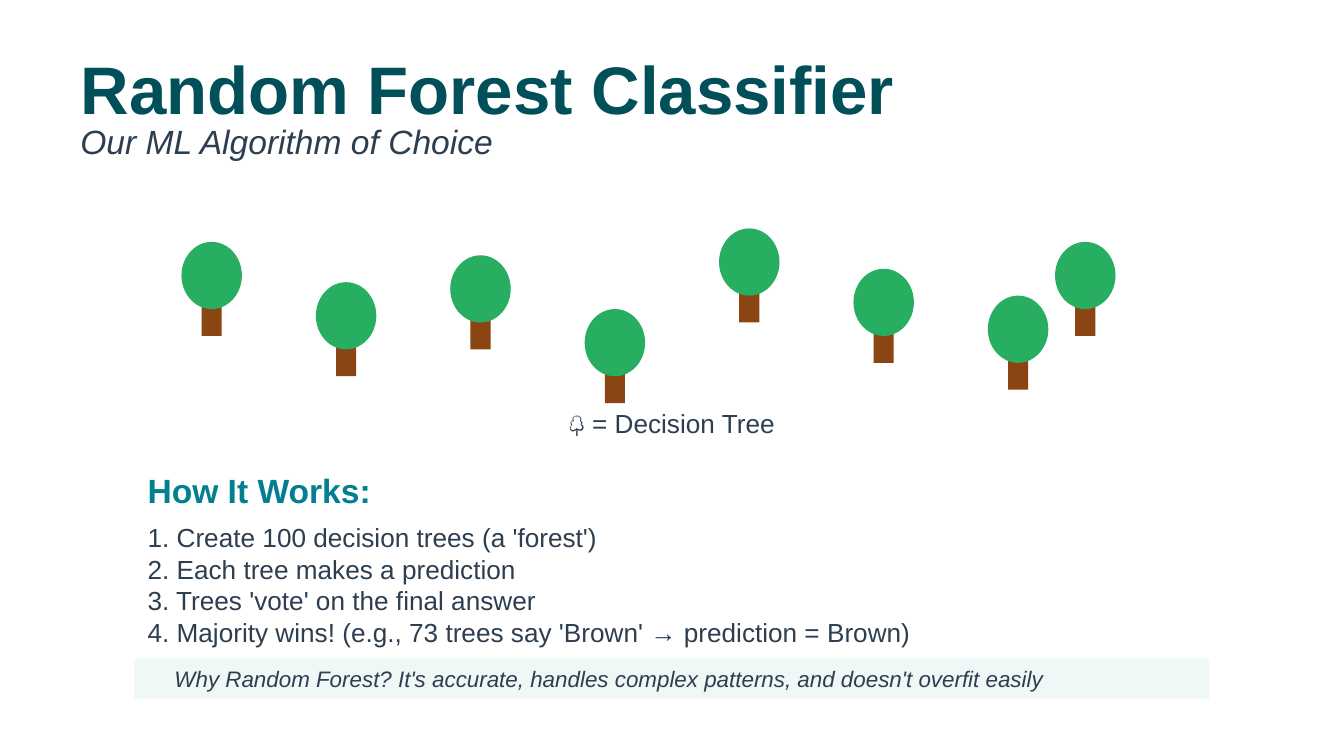
"""Build a slide that explains the random forest classifier."""
from lxml import etree
from pptx import Presentation
from pptx.dml.color import RGBColor
from pptx.enum import shapes, text
from pptx.util import Pt

DEEP_TEAL = RGBColor(0x01, 0x4F, 0x59)
TEAL = RGBColor(0x02, 0x80, 0x90)
SLATE = RGBColor(0x2C, 0x3E, 0x50)
BARK = RGBColor(0x8B, 0x45, 0x13)
LEAF = RGBColor(0x27, 0xAE, 0x60)
MINT = RGBColor(0xF0, 0xF8, 0xF7)

TREES = [(108, 129.6), (180, 151.2), (252, 136.8), (324, 165.6),
         (396, 122.4), (468, 144), (540, 158.4), (576, 129.6)]
STEPS = [
    "1. Create 100 decision trees (a 'forest')",
    "2. Each tree makes a prediction",
    "3. Trees 'vote' on the final answer",
    "4. Majority wins! (e.g., 73 trees say 'Brown' → prediction = Brown)",
]


def write(frame, *lines, size=14, color=SLATE, bold=False, italic=False,
          align=text.PP_ALIGN.LEFT, font="Arial"):
    frame.word_wrap = True
    frame.auto_size = text.MSO_AUTO_SIZE.NONE
    frame.vertical_anchor = text.MSO_ANCHOR.MIDDLE
    for index, line in enumerate(lines):
        paragraph = frame.add_paragraph() if index else frame.paragraphs[0]
        paragraph.alignment = align
        run = paragraph.add_run()
        run.text = line
        run.font.name = font
        run.font.size = Pt(size)
        run.font.bold = bold
        run.font.italic = italic
        run.font.color.rgb = color


class ForestSlide:
    def __init__(self, deck):
        self.slide = deck.slides.add_slide(deck.slide_layouts[5])

    def title(self, words, left, top, width, height, **style):
        heading = self.slide.shapes.title
        heading.left, heading.top = Pt(left), Pt(top)
        heading.width, heading.height = Pt(width), Pt(height)
        write(heading.text_frame, words, **style)

    def label(self, lines, left, top, width, height, **style):
        box = self.slide.shapes.add_textbox(Pt(left), Pt(top), Pt(width), Pt(height))
        write(box.text_frame, *lines, **style)

    def block(self, kind, left, top, width, height, color):
        part = self.slide.shapes.add_shape(kind, Pt(left), Pt(top), Pt(width), Pt(height))
        part.shadow.inherit = False
        part.fill.solid()
        part.fill.fore_color.rgb = color
        part.line.fill.background()

    def tree(self, trunk_left, crown_top):
        self.block(shapes.MSO_SHAPE.RECTANGLE, trunk_left, crown_top + 28.8, 10.8, 21.6, BARK)
        self.block(shapes.MSO_SHAPE.OVAL, trunk_left - 10.8, crown_top, 32.4, 36, LEAF)


def main():
    deck = Presentation()
    deck.slide_width, deck.slide_height = Pt(720), Pt(405)
    forest = ForestSlide(deck)
    forest.title("Random Forest Classifier", 36, 28.8, 648, 36,
                 size=36, color=DEEP_TEAL, bold=True)
    forest.label(["Our ML Algorithm of Choice"], 36, 64.8, 648, 21.6, size=18, italic=True)
    for trunk_left, crown_top in TREES:
        forest.tree(trunk_left, crown_top)
    forest.label(["🌳 = Decision Tree"], 72, 216, 576, 21.6, align=text.PP_ALIGN.CENTER)
    forest.label(["How It Works:"], 72, 252, 576, 21.6, size=18, color=TEAL, bold=True)
    forest.label(STEPS, 72, 280.8, 576, 64.8)
    forest.block(shapes.MSO_SHAPE.RECTANGLE, 72, 352.8, 576, 21.6, MINT)
    forest.label(["Why Random Forest? It's accurate, handles complex patterns, "
                  "and doesn't overfit easily"], 86.4, 352.8, 547.2, 21.6,
                 size=12, italic=True)
    deck.save("out.pptx")


if __name__ == "__main__":
    main()
